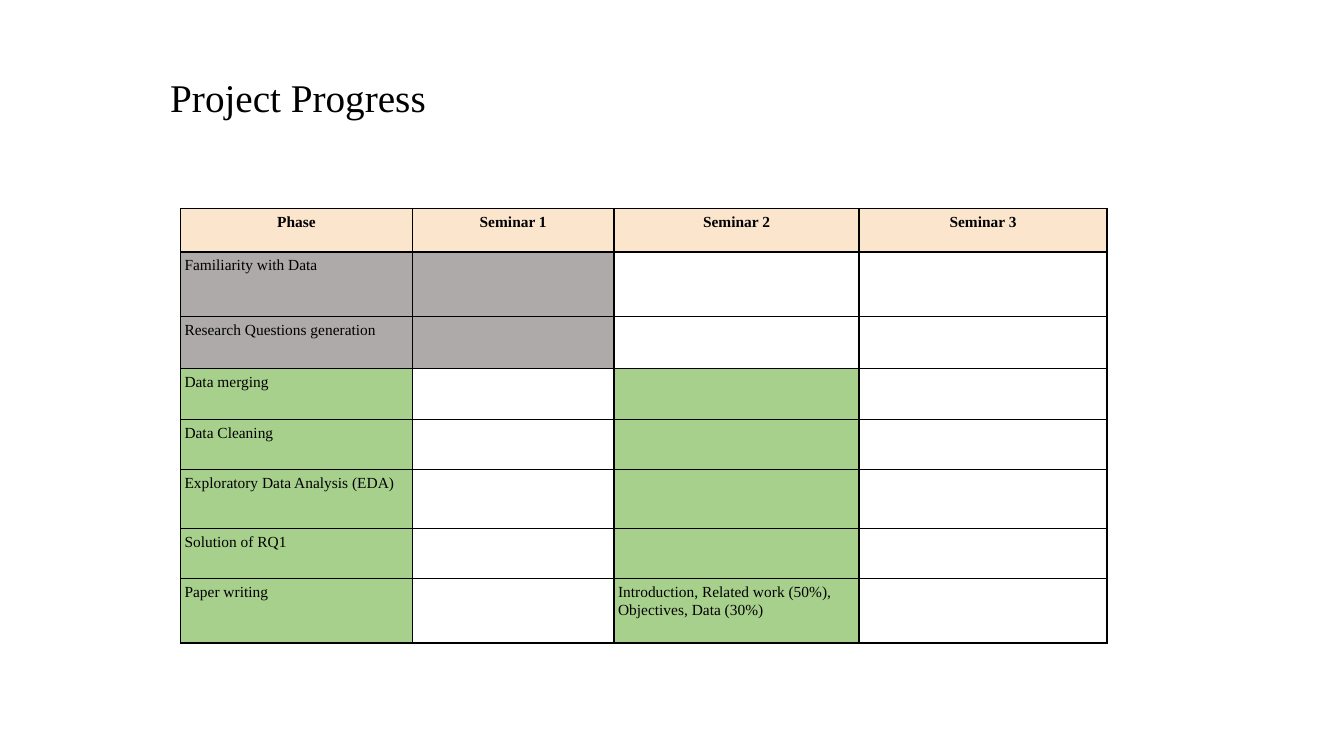
from lxml import etree
from pptx import Presentation
from pptx import util as u
from pptx.dml.color import RGBColor
from pptx.enum import text
from pptx.oxml import ns

BLACK = RGBColor(0x00, 0x00, 0x00)
PEACH = RGBColor(0xFC, 0xE5, 0xCD)
GREY = RGBColor(0xAE, 0xAA, 0xAA)
GREEN = RGBColor(0xA8, 0xD0, 0x8D)
FONT = "Times New Roman"

TITLE = "Project Progress"
HEADINGS = ["Phase", "Seminar 1", "Seminar 2", "Seminar 3"]
PHASES = [
    ("Familiarity with Data", 1, "", 0.64),
    ("Research Questions generation", 1, "", 0.52),
    ("Data merging", 2, "", 0.5),
    ("Data Cleaning", 2, "", 0.5),
    ("Exploratory Data Analysis (EDA)", 2, "", 0.58),
    ("Solution of RQ1", 2, "", 0.5),
    ("Paper writing", 2, "Introduction, Related work (50%), Objectives, Data (30%)", 0.64),
]
SEMINAR_COLOURS = {1: GREY, 2: GREEN}
COLUMN_WIDTHS = [2.3, 2, 2.43, 2.46]
HEADER_HEIGHT = 0.43
TABLE_LEFT, TABLE_TOP = 1.79, 2.07
CELL_INSET = 0.04


def style_font(para, size, bold=False):
    para.font.name = FONT
    para.font.size = u.Pt(size)
    para.font.bold = bold
    para.font.color.rgb = BLACK


def add_borders(cell):
    properties = cell._tc.get_or_add_tcPr()
    for side in ("lnL", "lnR", "lnT", "lnB"):
        line = etree.SubElement(properties, ns.qn(f"a:{side}"), w=str(u.Pt(1)))
        fill = etree.SubElement(line, ns.qn("a:solidFill"))
        etree.SubElement(fill, ns.qn("a:srgbClr"), val=str(BLACK))


def fill_cell(cell, words, colour, heading=False, spacing=12):
    cell.margin_left = cell.margin_right = u.Inches(CELL_INSET)
    cell.margin_top = cell.margin_bottom = u.Inches(CELL_INSET)
    add_borders(cell)
    if colour is None:
        cell.fill.background()
    else:
        cell.fill.solid()
        cell.fill.fore_color.rgb = colour
    cell.text = words
    para = cell.text_frame.paragraphs[0]
    style_font(para, 11, heading)
    para.alignment = text.PP_ALIGN.CENTER if heading else text.PP_ALIGN.LEFT
    para.line_spacing = 1.07
    if words:
        para.space_before = para.space_after = u.Pt(spacing)


def add_title(page):
    box = page.shapes.add_textbox(u.Inches(1.59), u.Inches(0.68), u.Inches(3.03), u.Inches(0.57))
    box.text_frame.word_wrap = True
    box.text_frame.text = TITLE
    style_font(box.text_frame.paragraphs[0], 28)


def add_progress_table(page):
    heights = [HEADER_HEIGHT] + [phase[-1] for phase in PHASES]
    table = page.shapes.add_table(
        len(heights), len(HEADINGS), u.Inches(TABLE_LEFT), u.Inches(TABLE_TOP),
        u.Inches(sum(COLUMN_WIDTHS)), u.Inches(sum(heights))).table
    table.first_row = table.horz_banding = False
    for column, width in zip(table.columns, COLUMN_WIDTHS):
        column.width = u.Inches(width)
    for row, height in zip(table.rows, heights):
        row.height = u.Inches(height)
    for column, heading in enumerate(HEADINGS):
        fill_cell(table.cell(0, column), heading, PEACH, heading=True)
    for row, (phase, seminar, note, _) in enumerate(PHASES, start=1):
        fill_cell(table.cell(row, 0), phase, SEMINAR_COLOURS[seminar])
        for column in range(1, len(HEADINGS)):
            active = column == seminar
            fill_cell(table.cell(row, column), note if active else "",
                      SEMINAR_COLOURS[seminar] if active else None, spacing=0)


def main():
    deck = Presentation()
    deck.slide_width, deck.slide_height = u.Inches(13.33), u.Inches(7.5)
    page = deck.slides.add_slide(deck.slide_layouts[6])
    add_title(page)
    add_progress_table(page)
    deck.save("out.pptx")


if __name__ == "__main__":
    main()
